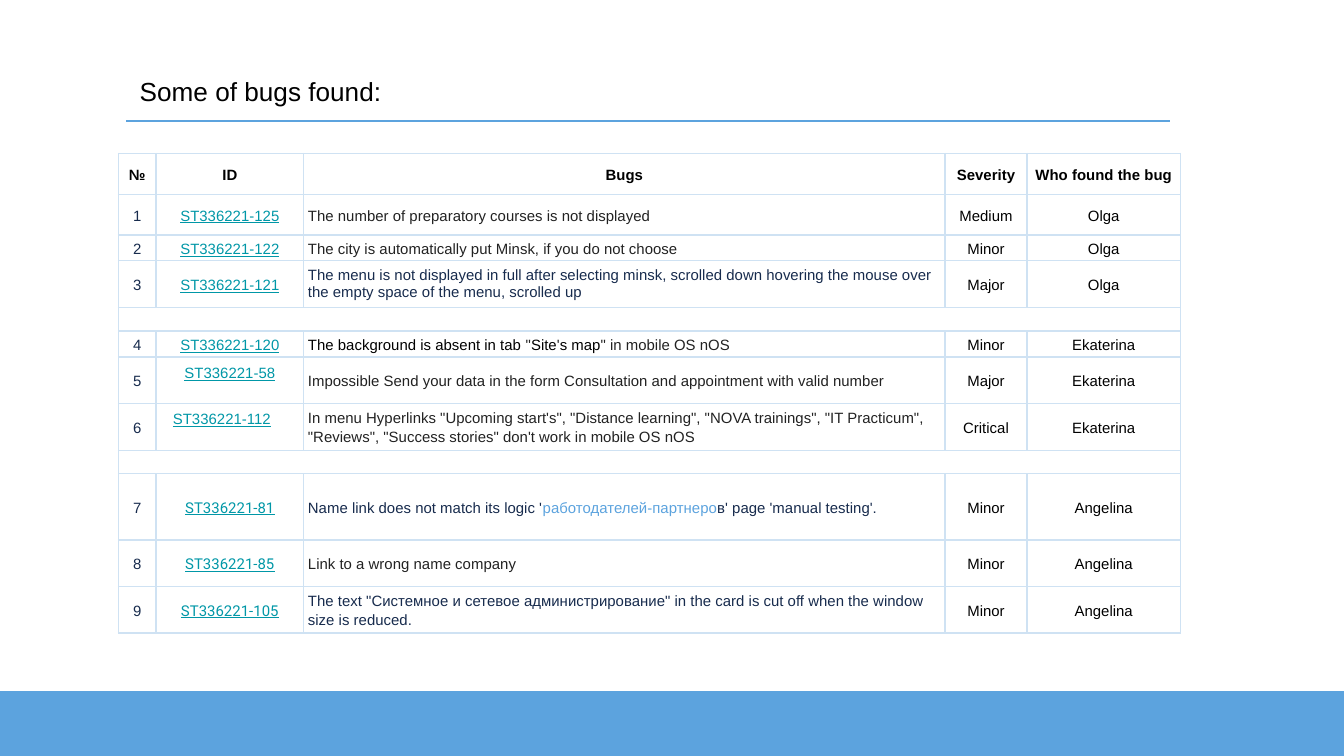
from dataclasses import dataclass

from lxml.etree import SubElement
from pptx import Presentation
from pptx.dml.color import RGBColor
from pptx.enum.shapes import MSO_CONNECTOR as Connector, MSO_SHAPE as Shape
from pptx.enum.text import MSO_ANCHOR as Anchor, PP_ALIGN as Align
from pptx.oxml.ns import qn
from pptx.util import Cm, Pt


@dataclass(frozen=True)
class Theme:
    font: str = "Arial"
    link_font: str = "Roboto"
    black: str = "000000"
    dark: str = "222222"
    navy: str = "172B4D"
    teal: str = "0097A7"
    blue: str = "5CA3DE"
    border: str = "CFE2F3"
    title_size: float = 14
    table_size: float = 8
    line_width: float = 0.75
    line_spacing: float = 1.15


THEME = Theme()


class SlideBuilder:
    def __init__(self, presentation, theme):
        self.theme = theme
        self.slide = presentation.slides.add_slide(presentation.slide_layouts[5])

    def add_run(self, paragraph, text, color, size, font=None, bold=False, underline=False):
        run = paragraph.add_run()
        run.text = text
        run.font.name = font or self.theme.font
        run.font.size = Pt(size)
        run.font.bold = bold
        run.font.underline = underline
        run.font.color.rgb = RGBColor.from_string(color)

    def title(self, text, left, top, width, height):
        shape = self.slide.shapes.title
        shape.left, shape.top, shape.width, shape.height = map(Cm, (left, top, width, height))
        frame = shape.text_frame
        frame.margin_left = frame.margin_right = Cm(0.25)
        frame.margin_top = frame.margin_bottom = Cm(0.25)
        frame.vertical_anchor = Anchor.TOP
        frame.word_wrap = True
        paragraph = frame.paragraphs[0]
        paragraph.alignment = Align.LEFT
        self.add_run(paragraph, text, self.theme.black, self.theme.title_size)

    def band(self, left, top, width, height):
        shape = self.slide.shapes.add_shape(Shape.RECTANGLE, *map(Cm, (left, top, width, height)))
        shape.shadow.inherit = False
        color = RGBColor.from_string(self.theme.blue)
        shape.fill.solid()
        shape.fill.fore_color.rgb = color
        shape.line.color.rgb = color
        shape.line.width = Pt(self.theme.line_width)

    def rule(self, left, right, y):
        line = self.slide.shapes.add_connector(Connector.STRAIGHT, *map(Cm, (left, y, right, y)))
        line.line.color.rgb = RGBColor.from_string(self.theme.blue)
        line.line.width = Pt(self.theme.line_width)
        SubElement(line._element.spPr, qn("a:effectLst"))

    def table(self, left, top, columns, rows):
        frame = self.slide.shapes.add_table(
            len(rows), len(columns), Cm(left), Cm(top), Cm(sum(columns)), Cm(sum(rows)))
        table = frame.table
        table.first_row = table.horz_banding = False
        for column, width in zip(table.columns, columns):
            column.width = Cm(width)
        for row, height in zip(table.rows, rows):
            row.height = Cm(height)
        for cell in table.iter_cells():
            self.style_cell(cell)
        return table

    def style_cell(self, cell):
        cell.margin_left = cell.margin_right = Cm(0.08)
        cell.margin_top = cell.margin_bottom = Cm(0.05)
        cell.vertical_anchor = Anchor.MIDDLE
        properties = cell._tc.get_or_add_tcPr()
        for side in ("lnL", "lnR", "lnT", "lnB"):
            line = SubElement(properties, qn(f"a:{side}"), w=str(Pt(self.theme.line_width)))
            fill = SubElement(line, qn("a:solidFill"))
            SubElement(fill, qn("a:srgbClr"), val=self.theme.border)
        cell.fill.background()
        # The end mark sets the text height of cells left empty
        paragraph = cell.text_frame.paragraphs[0]
        paragraph.line_spacing = self.theme.line_spacing
        SubElement(paragraph._p, qn("a:endParaRPr"), sz=str(int(self.theme.table_size * 100)))

    def write_cell(self, cell, runs, align=Align.CENTER, **style):
        paragraph = cell.text_frame.paragraphs[0]
        paragraph.alignment = align
        for text, color in runs:
            self.add_run(paragraph, text, color, self.theme.table_size, **style)


HEADERS = ["№", "ID", "Bugs", "Severity", "Who found the bug"]
COLUMN_WIDTHS = [0.71, 2.79, 12.12, 1.55, 2.9]
SHORT, MEDIUM, TALL, EXTRA, GAP = 0.49, 0.77, 0.88, 1.25, 0.43

# Finder, then bugs: row height, ID, description runs, severity
GROUPS = [
    ("Olga", [
        (MEDIUM, 125, [("The number of preparatory courses is not displayed", THEME.dark)],
         "Medium"),
        (SHORT, 122, [("The city is automatically put Minsk, if you do not choose", THEME.dark)],
         "Minor"),
        (TALL, 121, [("The menu is not displayed in full after selecting minsk, scrolled down "
                      "hovering the mouse over the empty space of the menu, scrolled up",
                      THEME.navy)], "Major"),
    ]),
    ("Ekaterina", [
        (SHORT, 120, [("The background is absent in tab ", THEME.black), ('"', THEME.dark),
                      ("Site", THEME.black), ("'", THEME.dark), ("s map", THEME.black),
                      ('" in mobile OS nOS', THEME.dark)], "Minor"),
        (TALL, 58, [("Impossible Send your data in the form Consultation and appointment "
                     "with valid number", THEME.dark)], "Major"),
        (TALL, 112, [('In menu Hyperlinks "Upcoming start\'s", "Distance learning", '
                      '"NOVA trainings", "IT Practicum", "Reviews", "Success stories" '
                      "don't work in mobile OS nOS", THEME.dark)], "Critical"),
    ]),
    ("Angelina", [
        (EXTRA, 81, [("Name link does not match its logic '", THEME.navy),
                     ("работодателей-партнеро", THEME.blue),
                     ("в' page 'manual testing'.", THEME.navy)], "Minor"),
        (TALL, 85, [("Link to a wrong name company", THEME.dark)], "Minor"),
        (TALL, 105, [('The text "Системное и сетевое администрирование" in the card is cut off '
                      "when the window size is reduced.", THEME.navy)], "Minor"),
    ]),
]


def fill_bug_table(builder):
    heights = [MEDIUM]
    for index, (_, bugs) in enumerate(GROUPS):
        heights += [GAP] if index else []
        heights += [bug[0] for bug in bugs]
    table = builder.table(2.24, 2.9, COLUMN_WIDTHS, heights)

    # Header
    for column, text in enumerate(HEADERS):
        builder.write_cell(table.cell(0, column), [(text, THEME.black)], bold=True)

    # Bugs by finder, with a merged row between the groups
    row = number = 1
    for finder, bugs in GROUPS:
        if row > 1:
            table.cell(row, 0).merge(table.cell(row, len(HEADERS) - 1))
            row += 1
        link_font = THEME.link_font if finder == "Angelina" else THEME.font
        for _, bug_id, description, severity in bugs:
            cells = [table.cell(row, column) for column in range(len(HEADERS))]
            builder.write_cell(cells[0], [(str(number), THEME.navy)])
            builder.write_cell(cells[1], [(f"ST336221-{bug_id}", THEME.teal)],
                               font=link_font, underline=True)
            builder.write_cell(cells[2], description, Align.LEFT)
            builder.write_cell(cells[3], [(severity, THEME.black)])
            builder.write_cell(cells[4], [(finder, THEME.black)])
            row += 1
            number += 1

    # Cells that differ from the rest
    table.cell(3, 2).text_frame.paragraphs[0].line_spacing = 1.0
    for row in (6, 7):
        table.cell(row, 1).vertical_anchor = Anchor.TOP
        table.cell(row, 1).margin_top = Cm(0.1)
    table.cell(7, 1).margin_right = Cm(0.38)


def main():
    presentation = Presentation()
    presentation.slide_width, presentation.slide_height = Cm(25.4), Cm(14.29)
    builder = SlideBuilder(presentation, THEME)
    builder.band(0, 13.07, 25.4, 1.22)
    builder.rule(2.39, 22.12, 2.29)
    builder.title("Some of bugs found:", 2.39, 1.17, 8.05, 1.12)
    fill_bug_table(builder)
    presentation.save("out.pptx")


if __name__ == "__main__":
    main()
